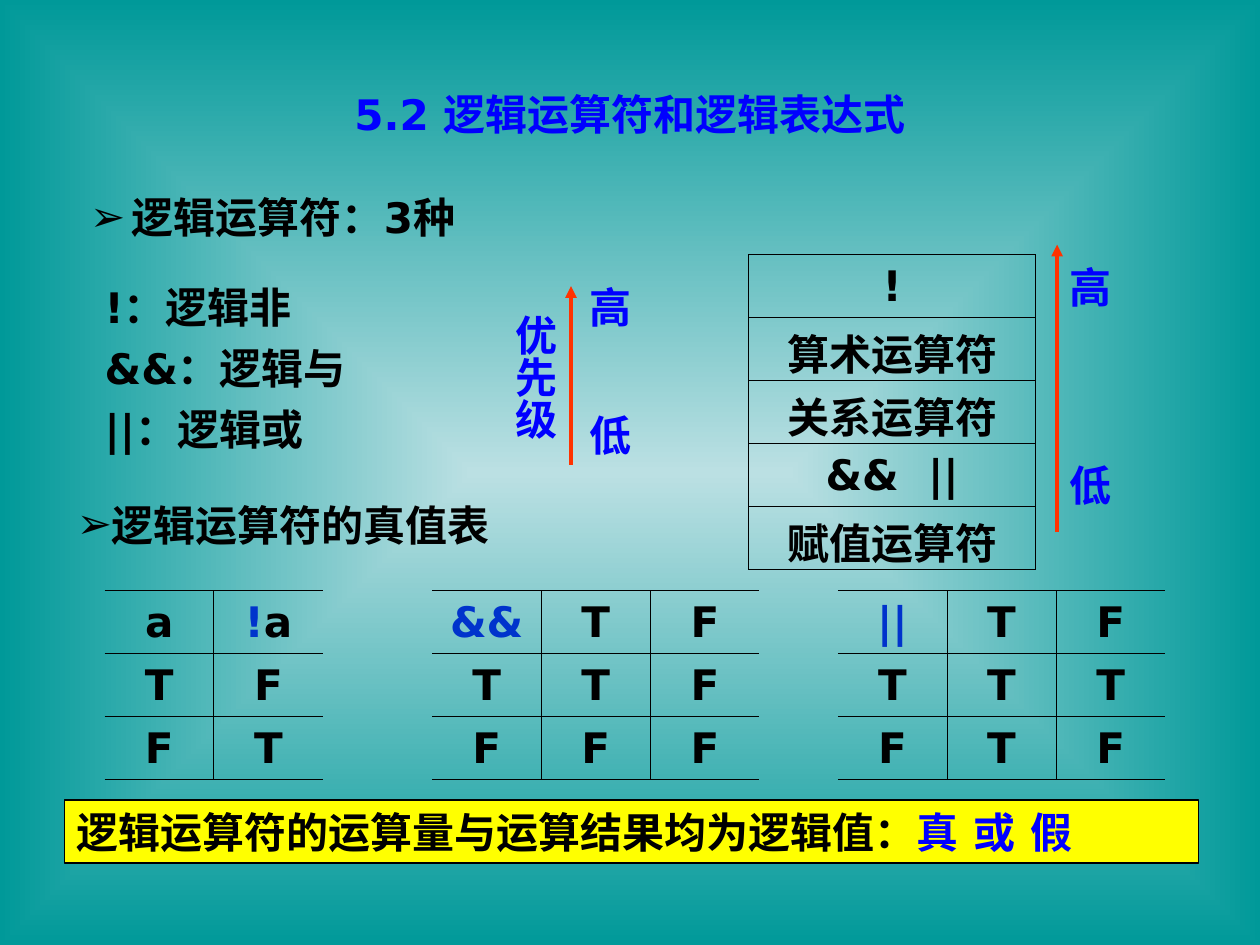
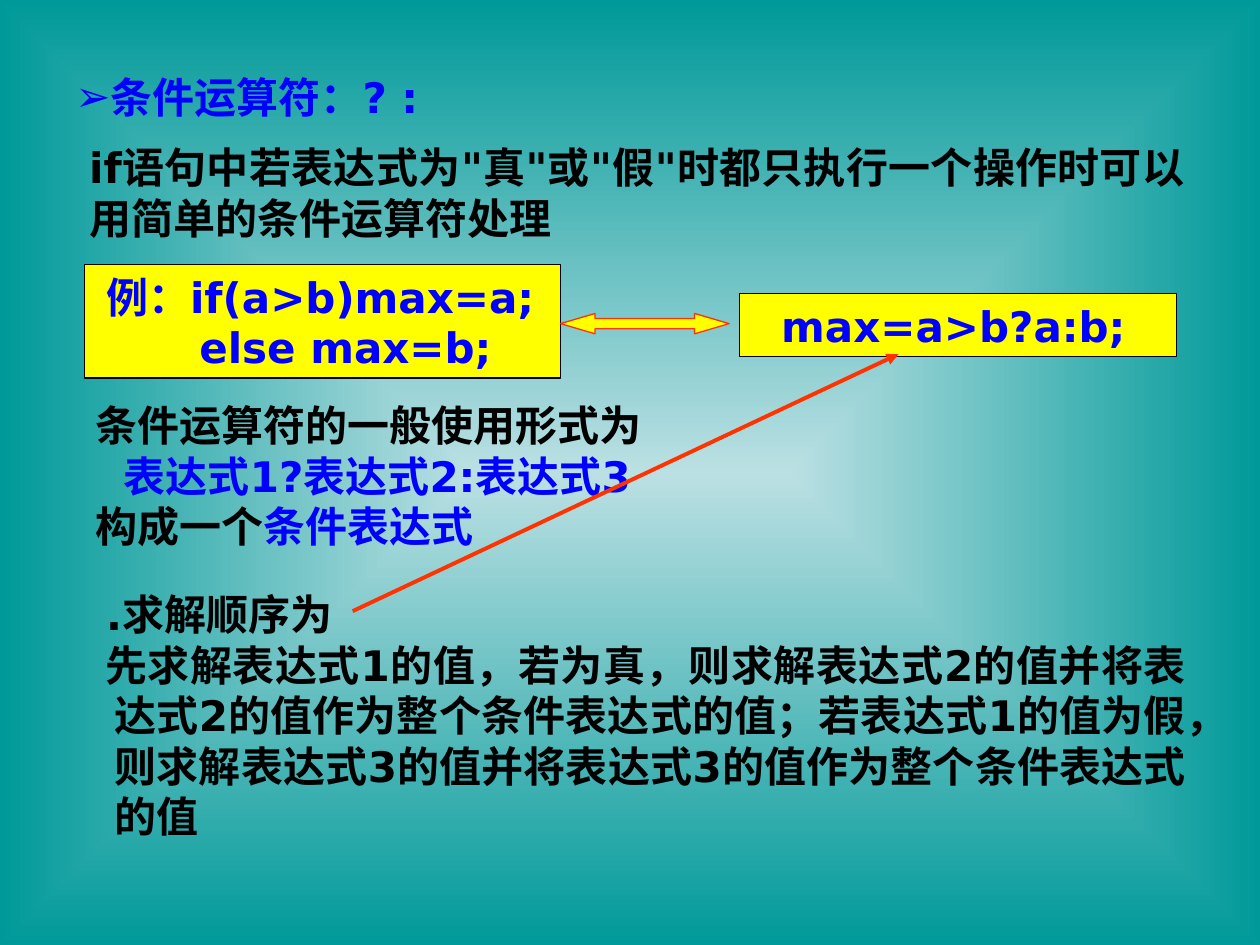
from itertools import groupby

from lxml import etree
from pptx import Presentation
from pptx import util as u
from pptx.dml.color import RGBColor
from pptx.enum import shapes, text
from pptx.oxml import ns

FONT = "DejaVu Sans"
SIZE = u.Pt(24)
LINE_PITCH = u.Pt(28.9)
GAP = u.Pt(6)
BLACK = RGBColor(0x00, 0x00, 0x00)
BLUE = RGBColor(0x00, 0x00, 0xFF)
OPERATOR_BLUE = RGBColor(0x00, 0x33, 0xCC)
YELLOW = RGBColor(0xFF, 0xFF, 0x00)
RED = RGBColor(0xFF, 0x33, 0x00)
PALE = RGBColor(0xBB, 0xE0, 0xE3)
TEAL = RGBColor(0x00, 0x99, 0x99)
NO_GRID_STYLE = "{2D5ABB26-0587-4C30-8999-92F81FD0307C}"
ROW_HEIGHT = 1.27
TEXT_LEFT, TEXT_WIDTH = 1.3, 22.86


def sub(parent, tag, **attributes):
    return etree.SubElement(parent, ns.qn(tag), attributes)


def set_background(master):
    """Glow from the centre, shared by all slides."""
    fill = master.background.fill
    fill.gradient()
    for stop, colour, position in zip(fill.gradient_stops, (PALE, TEAL), (0, 1)):
        stop.color.rgb = colour
        stop.position = position
    gradient = master.element.xpath(".//p:bg//a:gradFill")[0]
    gradient.remove(gradient.find(ns.qn("a:lin")))
    path = sub(gradient, "a:path", path="rect")
    sub(path, "a:fillToRect", l="50000", t="50000", r="50000", b="50000")


# Text
def write(frame, *runs, align=text.PP_ALIGN.LEFT, left=0, first=0, gap=0, bullet=False):
    """Add a paragraph of (words, colour) runs; left and first are in cm."""
    paragraph = frame.paragraphs[0]
    if paragraph.runs:
        paragraph = frame.add_paragraph()
        paragraph.space_before = gap
    else:
        paragraph.space_before = u.Pt(0)
    properties = paragraph._p.get_or_add_pPr()
    properties.set("marL", str(u.Cm(left)))
    properties.set("indent", str(u.Cm(first)))
    if bullet:
        sub(properties, "a:buFont", typeface=FONT)
        sub(properties, "a:buChar", char="➢")
    paragraph.alignment = align
    paragraph.line_spacing = LINE_PITCH
    for words, colour in runs:
        run = paragraph.add_run()
        run.text = words
        run.font.size = SIZE
        run.font.bold = True
        run.font.name = FONT
        run.font.color.rgb = colour
        sub(run._r.get_or_add_rPr(), "a:ea", typeface=FONT)


def prepare(frame, anchor=text.MSO_ANCHOR.TOP):
    frame.word_wrap = True
    frame.vertical_anchor = anchor
    frame.margin_left = frame.margin_right = u.Cm(0.25)
    frame.margin_top = frame.margin_bottom = u.Cm(0.13)
    return frame


def add_title(slide, words, top, **layout):
    title = slide.shapes.title
    title.left, title.top = u.Cm(1.27), u.Cm(top)
    title.width, title.height = u.Cm(TEXT_WIDTH), u.Cm(1.27)
    write(prepare(title.text_frame, text.MSO_ANCHOR.MIDDLE), (words, BLUE), **layout)


def add_text(slide, left, top, width, height):
    box = slide.shapes.add_textbox(u.Cm(left), u.Cm(top), u.Cm(width), u.Cm(height))
    return prepare(box.text_frame)


# Shapes
def add_yellow(slide, kind, left, top, width, height, line=BLACK):
    shape = slide.shapes.add_shape(kind, u.Cm(left), u.Cm(top), u.Cm(width), u.Cm(height))
    shape.shadow.inherit = False
    shape.fill.solid()
    shape.fill.fore_color.rgb = YELLOW
    shape.line.color.rgb = line
    shape.line.width = u.Pt(0.75)
    return shape


def add_yellow_box(slide, *place):
    return prepare(add_yellow(slide, shapes.MSO_SHAPE.RECTANGLE, *place).text_frame)


def add_arrow(slide, x1, y1, x2, y2):
    arrow = slide.shapes.add_connector(
        shapes.MSO_CONNECTOR.STRAIGHT, u.Cm(x1), u.Cm(y1), u.Cm(x2), u.Cm(y2))
    arrow.line.color.rgb = RED
    arrow.line.width = u.Pt(2.25)
    sub(arrow.line._get_or_add_ln(), "a:tailEnd", type="triangle")
    sub(arrow._element.spPr, "a:effectLst")


def add_priority_scale(slide, x, bottom, top, label_left, high_top, low_top):
    add_arrow(slide, x, bottom, x, top)
    for level, label_top in (("高", high_top), ("低", low_top)):
        write(add_text(slide, label_left, label_top, 1.35, 1.27), (level, BLUE),
              align=text.PP_ALIGN.CENTER)


# Tables
def set_borders(cell, sides):
    properties = cell._tc.get_or_add_tcPr()
    for side in "LRTB":
        line = sub(properties, f"a:ln{side}", w=str(u.Pt(0.45)))
        if side in sides:
            sub(sub(line, "a:solidFill"), "a:srgbClr", val=str(BLACK))
        else:
            sub(line, "a:noFill")


def add_grid(slide, left, top, column_width, rows, cell_runs, framed=False):
    columns = len(rows[0])
    table = slide.shapes.add_table(
        len(rows), columns, u.Cm(left), u.Cm(top),
        u.Cm(column_width * columns), u.Cm(ROW_HEIGHT * len(rows))).table
    table.first_row = table.horz_banding = False
    table._tbl.tblPr.find(ns.qn("a:tableStyleId")).text = NO_GRID_STYLE
    for r, row in enumerate(rows):
        table.rows[r].height = u.Cm(ROW_HEIGHT)
        for c, label in enumerate(row):
            table.columns[c].width = u.Cm(column_width)
            cell = table.cell(r, c)
            sides = "TB"
            if framed or c > 0:
                sides += "L"
            if framed or c < columns - 1:
                sides += "R"
            set_borders(cell, sides)
            cell.fill.background()
            cell.vertical_anchor = text.MSO_ANCHOR.MIDDLE
            cell.margin_left = cell.margin_right = u.Cm(0.05)
            # Chinese labels sit low in their row
            low = "运算符" in label
            cell.margin_top = u.Cm(0.25 if low else 0.12)
            cell.margin_bottom = u.Cm(0 if low else 0.12)
            write(cell.text_frame, *cell_runs(label), align=text.PP_ALIGN.CENTER)


def plain_runs(label):
    return [(label, BLACK)]


def operator_runs(label):
    return [("".join(part), OPERATOR_BLUE if is_operator else BLACK)
            for is_operator, part in groupby(label, lambda sign: sign in "!&|")]


# Slides
def logical_operators(slide):
    add_title(slide, "5.2 逻辑运算符和逻辑表达式", 1.65, align=text.PP_ALIGN.CENTER)
    write(add_text(slide, 1.27, 3.73, TEXT_WIDTH, 1.27), ("逻辑运算符：3种", BLACK),
          left=1.14, first=-0.84, bullet=True)
    meanings = add_text(slide, 1.27, 5.54, 7.24, 3.73)
    for meaning in ("!：逻辑非", "&&：逻辑与", "||：逻辑或"):
        write(meanings, (meaning, BLACK), left=0.59, gap=GAP)
    write(add_text(slide, TEXT_LEFT, 9.93, TEXT_WIDTH, 1.27),
          ("逻辑运算符的真值表", BLACK), bullet=True)

    # Truth tables
    truth_tables = (
        (2.11, (("a", "!a"), "TF", "FT")),
        (8.71, (("&&", "T", "F"), "TTF", "FFF")),
        (16.89, (("||", "T", "F"), "TTT", "FTF")),
    )
    for left, rows in truth_tables:
        add_grid(slide, left, 11.91, 2.2, rows, operator_runs)

    # Priority of the operators
    add_priority_scale(slide, 11.51, 9.37, 5.77, 11.63, 5.54, 8.13)
    priority = add_text(slide, 9.91, 6.1, 1.52, 2.79)
    priority.word_wrap = False
    priority.margin_left = priority.margin_right = u.Cm(0.13)
    priority.margin_top = priority.margin_bottom = u.Cm(0.25)
    priority._txBody.bodyPr.set("vert", "eaVert")
    write(priority, ("优先级", BLUE), align=text.PP_ALIGN.CENTER)

    levels = ("!", "算术运算符", "关系运算符", "&&  ||", "赋值运算符")
    add_grid(slide, 15.09, 5.13, 5.79, [(level,) for level in levels],
             plain_runs, framed=True)
    add_priority_scale(slide, 21.31, 10.72, 4.93, 21.31, 5.13, 9.12)

    write(add_yellow_box(slide, TEXT_LEFT, 16.13, TEXT_WIDTH, 1.27),
          ("逻辑运算符的运算量与运算结果均为逻辑值：", BLACK), ("真 或 假", BLUE))


def conditional_operator(slide):
    add_title(slide, "条件运算符：? :", 1.32, bullet=True)
    write(add_text(slide, 1.27, 2.72, TEXT_WIDTH, 2.29),
          ('if语句中若表达式为"真"或"假"时都只执行一个操作时可以用简单的条件运算符处理', BLACK),
          align=text.PP_ALIGN.JUSTIFY, left=0.28)

    # General form
    form = add_text(slide, TEXT_LEFT, 7.92, TEXT_WIDTH, 3.3)
    write(form, ("条件运算符的一般使用形式为", BLACK), left=0.38)
    write(form, ("表达式1?表达式2:表达式3", BLUE), left=0.95)
    write(form, ("构成一个", BLACK), ("条件表达式", BLUE), left=0.38)

    # Equivalent statements
    example = add_yellow_box(slide, 1.7, 5.33, 9.6, 2.29)
    write(example, ("例：if(a>b)max=a;", BLUE), left=0.19)
    write(example, ("else max=b;", BLUE), left=2.07)
    write(add_yellow_box(slide, 14.91, 5.92, 8.81, 1.27),
          ("max=a>b?a:b;", BLUE), left=0.59)
    equivalence = add_yellow(slide, shapes.MSO_SHAPE.LEFT_RIGHT_ARROW,
                             11.3, 6.32, 3.4, 0.41, line=RED)
    equivalence.adjustments[0] = 0.5
    equivalence.adjustments[1] = 1.7

    # Order of evaluation
    order = add_text(slide, TEXT_LEFT, 11.73, TEXT_WIDTH, 5.33)
    write(order, (".求解顺序为", BLACK), left=0.59)
    write(order, ("先求解表达式1的值，若为真，则求解表达式2的值并将表达式2的值作为整个条件"
                  "表达式的值；若表达式1的值为假，则求解表达式3的值并将表达式3的值作为整个条件"
                  "表达式的值", BLACK),
          align=text.PP_ALIGN.JUSTIFY, left=0.76, first=-0.19)
    add_arrow(slide, 7.11, 12.32, 18.11, 7.14)


def main():
    deck = Presentation()
    deck.slide_width, deck.slide_height = u.Cm(25.4), u.Cm(19.05)
    set_background(deck.slide_master)
    title_only = deck.slide_layouts[5]
    for build in (logical_operators, conditional_operator):
        build(deck.slides.add_slide(title_only))
    deck.save("out.pptx")


if __name__ == "__main__":
    main()
